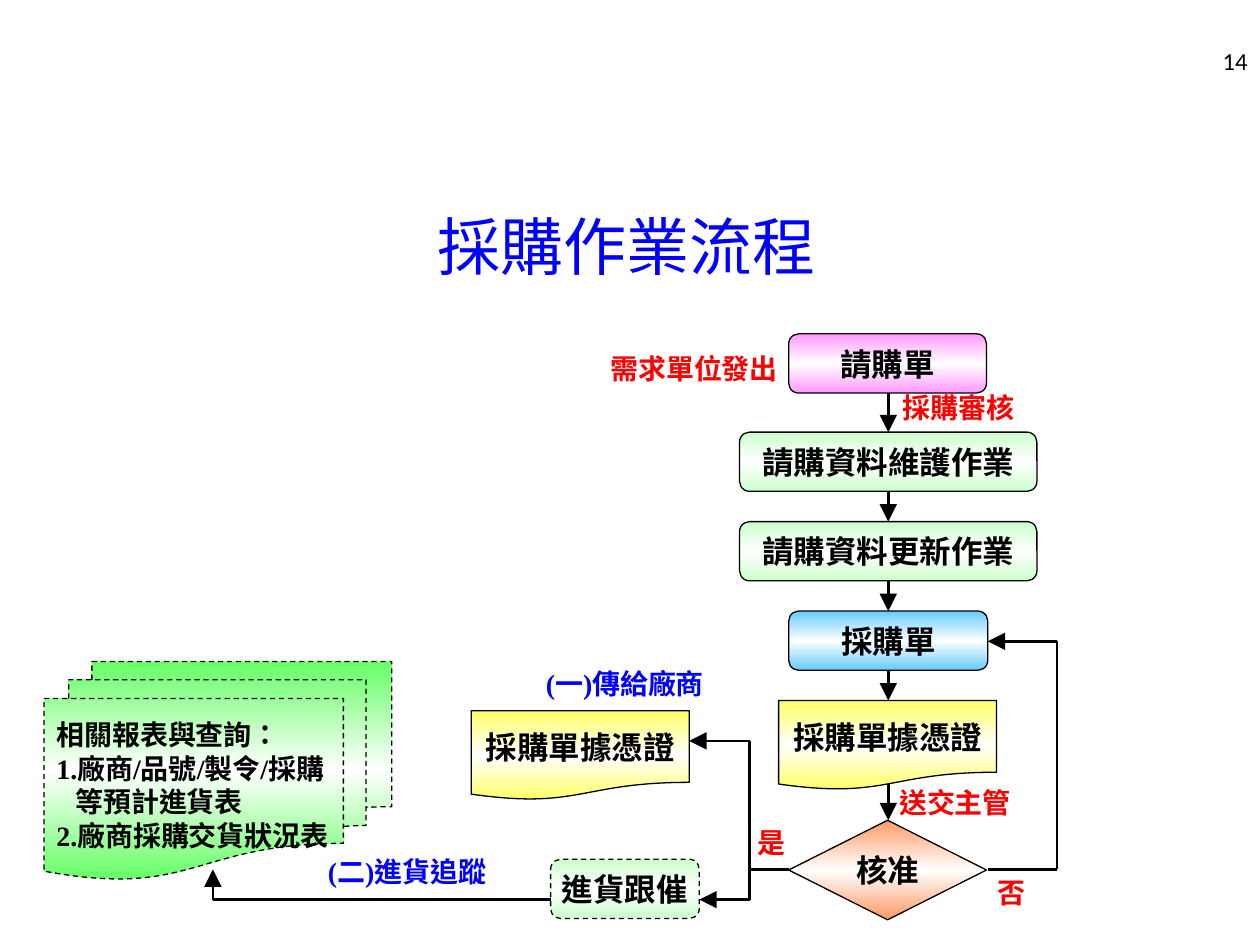
"""Build the purchasing workflow slide on a grid of 100 columns by 75 rows."""
from copy import deepcopy
from dataclasses import dataclass
from itertools import pairwise

from lxml import etree
from pptx import Presentation, util as u
from pptx.dml.color import RGBColor
from pptx.enum import dml, shapes, text
from pptx.oxml import ns

HUES = {
    "black": "000000", "white": "FFFFFF", "blue": "0000FF", "red": "FF0000",
    "pink": "FF99FF", "mint": "CCFFCC", "sky": "66CCFF", "lemon": "FFFF66",
    "coral": "FF9966", "green": "66FF66",
}
KIND = shapes.MSO_SHAPE
ROUND, PAPER = KIND.ROUNDED_RECTANGLE, KIND.FLOWCHART_DOCUMENT
SERIF = "Times New Roman"

deck = Presentation()
deck.slide_width, deck.slide_height = u.Inches(10), u.Inches(7.5)
CELL = deck.slide_width / 100
slide = deck.slides.add_slide(deck.slide_layouts[6])


@dataclass
class Node:
    words: str
    col: float
    row: float
    wide: float
    tall: float = 4.7
    hue: str = "mint"
    kind: int = ROUND
    dash: bool = False


@dataclass
class Label:
    words: str
    col: float
    row: float
    wide: float
    tall: float
    hue: str = "red"
    font: str = "Arial"


def grid(*spans: float) -> list[int]:
    return [round(s * CELL) for s in spans]


def tint(name: str) -> RGBColor:
    return RGBColor.from_string(HUES[name])


def write(shape, words: str, *, size: float = 18, font: str = "Arial",
          hue: str = "black", bold: bool = True, align: str = "CENTER",
          wrap: bool = False, inset: float = 0.1) -> None:
    frame = shape.text_frame
    frame.word_wrap = wrap
    frame.margin_left = frame.margin_right = u.Inches(inset)
    frame.vertical_anchor = text.MSO_ANCHOR.MIDDLE
    for i, line in enumerate(words.split("\n")):
        para = frame.add_paragraph() if i else frame.paragraphs[0]
        para.alignment = getattr(text.PP_ALIGN, align)
        run = para.add_run()
        run.text = line
        run.font.size, run.font.name, run.font.bold = u.Pt(size), font, bold
        run.font.color.rgb = tint(hue)
        run._r.get_or_add_rPr().set("lang", "zh-TW")


def shade(shape, hue: str) -> None:
    shape.fill.gradient()
    shape.fill.gradient_angle = 90
    first = shape._element.spPr.find(".//" + ns.qn("a:gs"))
    first.addnext(deepcopy(first))
    for stop, name, spot in zip(shape.fill.gradient_stops,
                                (hue, "white", hue), (0, 0.5, 1)):
        stop.color.rgb = tint(name)
        stop.position = spot


def draw(node: Node, **form):
    shape = slide.shapes.add_shape(
        node.kind, *grid(node.col, node.row, node.wide, node.tall))
    shape.shadow.inherit = False
    shade(shape, node.hue)
    shape.line.color.rgb = tint("black")
    shape.line.width = u.Pt(0.75)
    if node.dash:
        shape.line.dash_style = dml.MSO_LINE.DASH
    write(shape, node.words, **form)
    return shape


def note(label: Label, **form) -> None:
    box = slide.shapes.add_textbox(
        *grid(label.col, label.row, label.wide, label.tall))
    write(box, label.words, font=label.font, hue=label.hue, **form)


def route(*stops: tuple[float, float], arrow: bool = True) -> None:
    for start, end in pairwise(stops):
        line = slide.shapes.add_connector(
            shapes.MSO_CONNECTOR.STRAIGHT, *grid(*start, *end))
        line.line.color.rgb = tint("black")
        line.line.width = u.Pt(1.5)
        if arrow and end == stops[-1]:
            etree.SubElement(line.line._get_or_add_ln(), ns.qn("a:tailEnd"),
                             type="triangle", w="lg", len="lg")
        etree.SubElement(line._element.spPr, ns.qn("a:effectLst"))


MID, TURN, BACK = 70.5, 59.5, 83.9
CHAIN = [
    Node("請購單", 62.6, 26.5, 15.7, hue="pink"),
    Node("請購資料維護作業", 58.7, 34.3, 23.6),
    Node("請購資料更新作業", 58.7, 41.4, 23.6),
    Node("採購單", 62.6, 48.5, 15.8, hue="sky"),
    Node("採購單據憑證", 61.8, 55.6, 17.3, 7.1, "lemon", PAPER),
    Node("核准", 62.6, 65.1, 15.7, 7.9, "coral", KIND.FLOWCHART_DECISION),
]
SIDE = [
    Node("採購單據憑證", 37.4, 56.4, 17.3, 7.1, "lemon", PAPER),
    Node("進貨跟催", 43.7, 68.2, 11.8, dash=True),
]
REPORT = Node("相關報表與查詢：\n1.廠商/品號/製令/採購\n等預計進貨表\n2.廠商採購交貨狀況表",
              3.5, 52.5, 27.6, 17.3, "green",
              KIND.FLOWCHART_MULTIDOCUMENT, True)
LABELS = [
    Label("需求單位發出", 47.6, 27.3, 15, 3.9),
    Label("採購審核", 71.3, 30.4, 9.5, 3.9),
    Label("送交主管", 70.3, 60.9, 11, 5.5, font=SERIF),
    Label("是", 58.1, 64.9, 6.3, 3.9),
    Label("否", 77.1, 68.9, 6.3, 3.9),
    Label("(一)傳給廠商", 42.1, 52.4, 15, 3.6, "blue", SERIF),
    Label("(二)進貨追蹤", 24.8, 66.8, 15, 4.7, "blue", SERIF),
]


def main() -> None:
    note(Label("14", 76.7, 2.8, 23.3, 4, "black", "Calibri"),
         size=14, bold=False, align="RIGHT", wrap=True)
    note(Label("採購作業流程", 4.7, 14.8, 90, 9.3, "blue", SERIF),
         size=36, bold=False, wrap=True)
    for node, after in pairwise(CHAIN):
        wave = 0.8 if node.kind == PAPER else 0
        route((MID, node.row + node.tall - wave), (MID, after.row))
    route((78.4, 69), (BACK, 69), (BACK, 50.9), (78.4, 50.9))
    route((62.6, 69), (TURN, 69), arrow=False)
    route((TURN, 58.8), (54.7, 58.8))
    route((TURN, 58.8), (TURN, 71.4), (55.5, 71.4))
    for node in CHAIN + SIDE:
        draw(node)
    report = draw(REPORT, size=16, font=SERIF, align="LEFT")
    indent = report.text_frame.paragraphs[2]._p.get_or_add_pPr()
    indent.set("marL", str(u.Inches(0.15)))
    route((43.7, 71.4), (16.9, 71.4), (16.9, 69))
    for label in LABELS:
        note(label, size=16, inset=0)
    deck.save("out.pptx")


if __name__ == "__main__":
    main()
